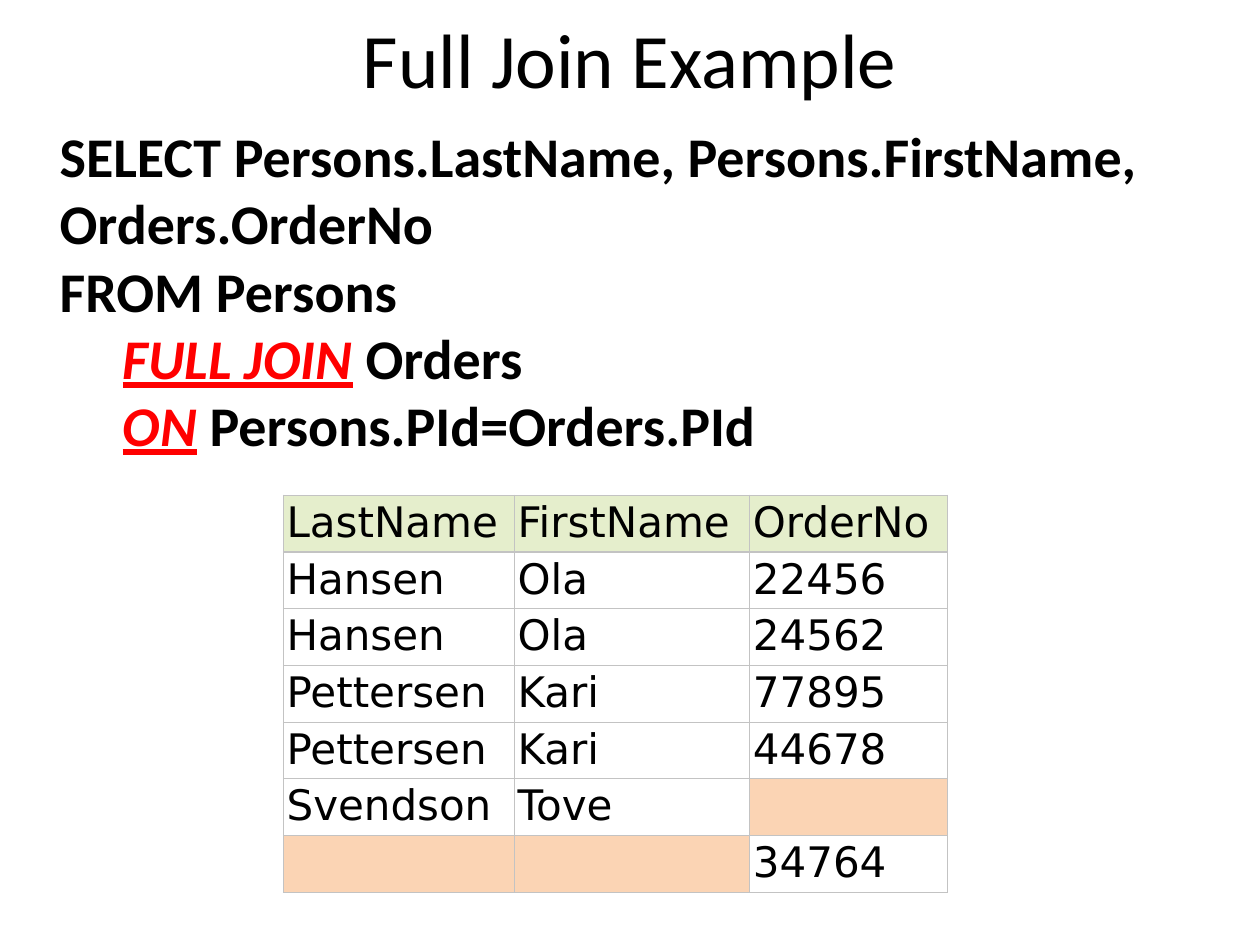
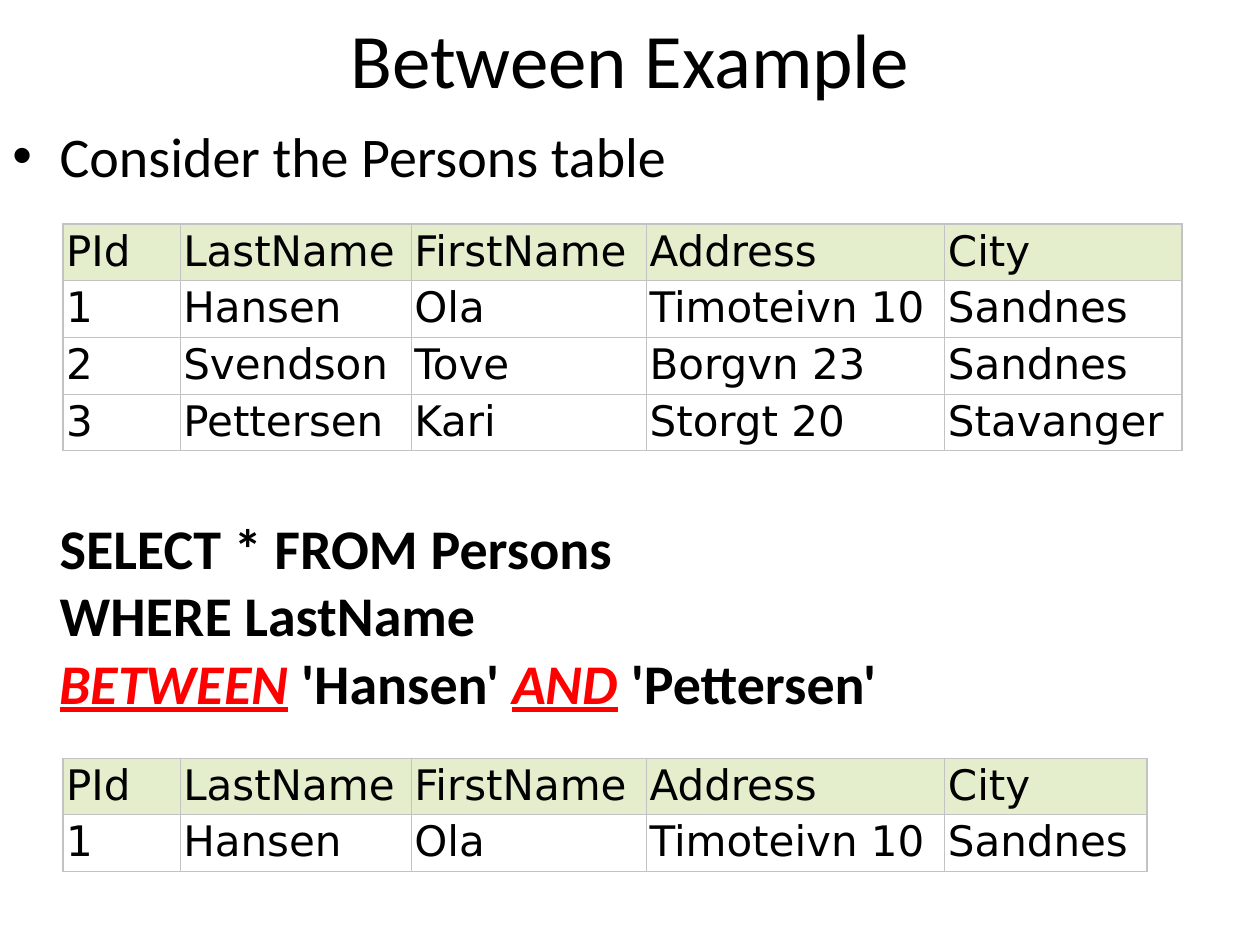
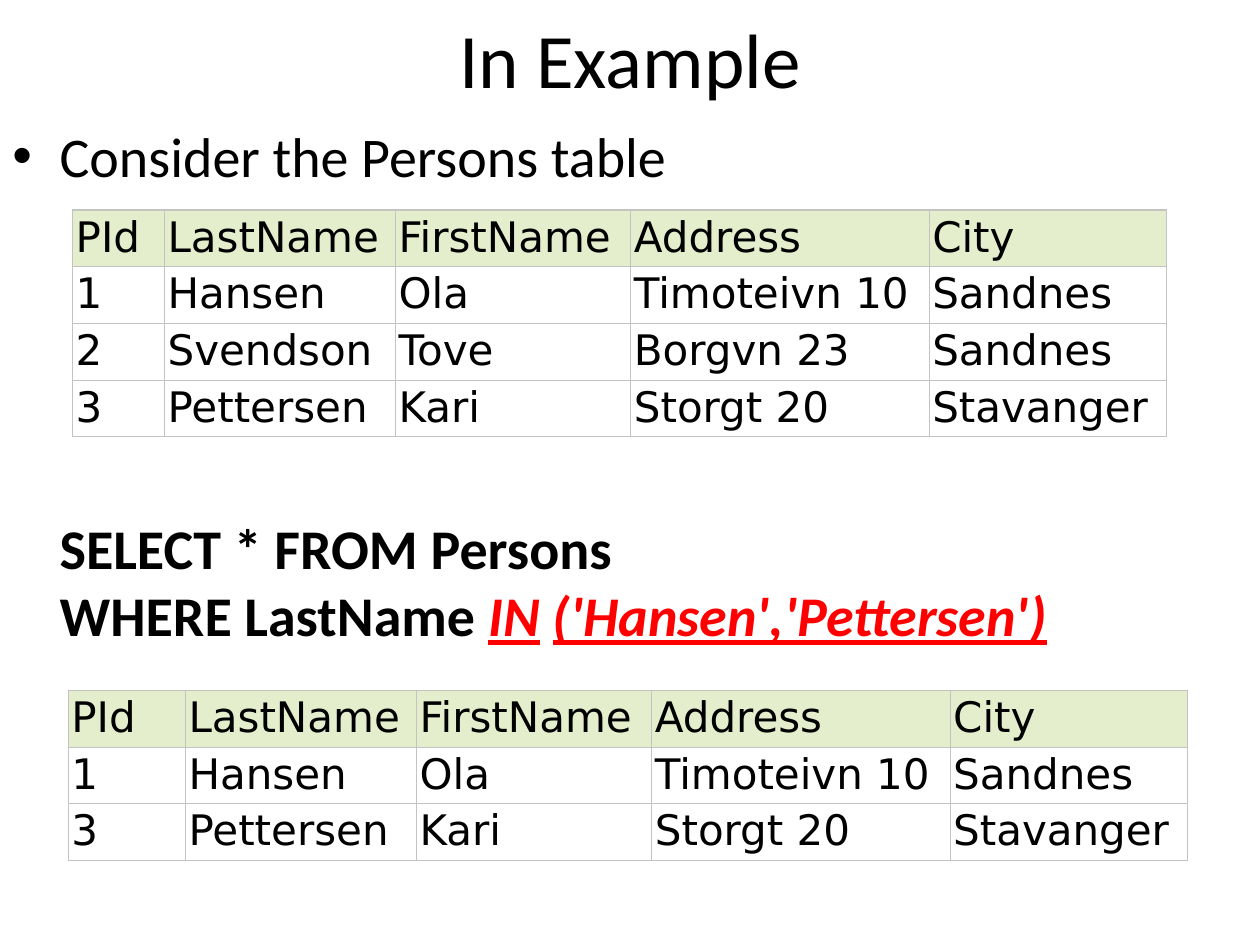
from lxml.etree import SubElement as Sub
from pptx import Presentation
from pptx.dml.color import RGBColor as RGB
from pptx.enum.text import MSO_ANCHOR as Anchor, PP_ALIGN as Align
from pptx.oxml.ns import qn
from pptx.util import Pt

COLORS = {
    "text": "000000", "keyword": "FF0000", "border": "C3C3C3",
    "header": "E5EECC", "row": "FFFFFF", "null": "FBD4B4",
}
TITLE = {"name": "Calibri", "size": Pt(44)}
BODY = {"name": "Calibri", "size": Pt(32)}
CODE = BODY | {"bold": True}
KEYWORD = CODE | {"italic": True, "underline": True}
CELL = {"name": "DejaVu Sans", "size": Pt(24), "bold": False}

# Regions as left, top, width, height
TITLE_BOX = (0, 0, 720, 66)
BODY_BOX = (0, 66, 720, 474)
INDENT = 27
CODE_GAP = 185.6
ROW_HEIGHT = 31.6
CELL_MARGIN = 1.8
WIDTHS = {"PId": 67, "LastName": 132, "FirstName": 134.5,
          "Address": 170.5, "City": 135.5, "OrderNo": 113}

PERSONS = [
    ("PId", "LastName", "FirstName", "Address", "City"),
    ("1", "Hansen", "Ola", "Timoteivn 10", "Sandnes"),
    ("2", "Svendson", "Tove", "Borgvn 23", "Sandnes"),
    ("3", "Pettersen", "Kari", "Storgt 20", "Stavanger"),
]
JOINED = [
    ("LastName", "FirstName", "OrderNo"),
    ("Hansen", "Ola", "22456"),
    ("Hansen", "Ola", "24562"),
    ("Pettersen", "Kari", "77895"),
    ("Pettersen", "Kari", "44678"),
    ("Svendson", "Tove", ""),
    ("", "", "34764"),
]

# Bars enclose the highlighted keywords
JOIN_CODE = [
    "SELECT Persons.LastName, Persons.FirstName, Orders.OrderNo",
    "FROM Persons",
    "\t|FULL JOIN| Orders",
    "\t|ON| Persons.PId=Orders.PId",
]
BETWEEN_CODE = [
    "SELECT * FROM Persons",
    "WHERE LastName",
    "|BETWEEN| 'Hansen' |AND| 'Pettersen'",
]
IN_CODE = [
    "SELECT * FROM Persons",
    "WHERE LastName |IN| |('Hansen','Pettersen')|",
]


def add_run(p, text, fmt, color="text"):
    r = p.add_run()
    r.text = text
    for name, value in fmt.items():
        setattr(r.font, name, value)
    r.font.color.rgb = RGB.from_string(COLORS[color])


def add_box(s, box):
    tf = s.shapes.add_textbox(*map(Pt, box)).text_frame
    tf.word_wrap = True
    return tf


def add_title(s, box, text):
    tf = add_box(s, box)
    tf.vertical_anchor = Anchor.MIDDLE
    p = tf.paragraphs[0]
    p.alignment = Align.CENTER
    add_run(p, text, TITLE)


def set_indent(p, first):
    pPr = p._p.get_or_add_pPr()
    pPr.set("marL", str(Pt(INDENT)))
    pPr.set("indent", str(Pt(first)))
    return pPr


def add_code(p, lines):
    set_indent(p, 0)
    for i, line in enumerate(lines):
        if i:
            p.add_line_break()
        for j, part in enumerate(line.split("|")):
            if part and j % 2:
                add_run(p, part, KEYWORD, "keyword")
            elif part:
                add_run(p, part, CODE)


def add_body(s, box, code, intro=None):
    tf = add_box(s, box)
    p = tf.paragraphs[0]
    if intro:
        pPr = set_indent(p, -INDENT)
        Sub(pPr, qn("a:buFont"), typeface="Arial")
        Sub(pPr, qn("a:buChar"), char="•")
        add_run(p, intro, BODY)
        p = tf.add_paragraph()
        p.space_before = Pt(CODE_GAP)
    add_code(p, code)


def style_cell(cell, fill):
    for side in ("left", "right", "top", "bottom"):
        setattr(cell, f"margin_{side}", Pt(CELL_MARGIN))
    tcPr = cell._tc.get_or_add_tcPr()
    for tag in ("lnL", "lnR", "lnT", "lnB"):
        ln = Sub(tcPr, qn(f"a:{tag}"), w=str(Pt(0.75)))
        Sub(Sub(ln, qn("a:solidFill")), qn("a:srgbClr"), val=COLORS["border"])
    cell.fill.solid()
    cell.fill.fore_color.rgb = RGB.from_string(COLORS[fill])


def add_grid(s, left, top, rows, widths=WIDTHS):
    cols = [widths[name] for name in rows[0]]
    size = (sum(cols), ROW_HEIGHT * len(rows))
    table = s.shapes.add_table(len(rows), len(cols),
                               *map(Pt, (left, top, *size))).table
    table.first_row = table.horz_banding = False
    for col, width in zip(table.columns, cols):
        col.width = Pt(width)
    for i, row in enumerate(rows):
        table.rows[i].height = Pt(ROW_HEIGHT)
        for j, text in enumerate(row):
            cell = table.cell(i, j)
            style_cell(cell, "header" if i == 0 else "row" if text else "null")
            if text:
                add_run(cell.text_frame.paragraphs[0], text, CELL)


def add_example(prs, title, code, intro=None):
    s = prs.slides.add_slide(prs.slide_layouts[6])
    add_title(s, TITLE_BOX, title)
    add_body(s, BODY_BOX, code, intro)
    return s


def main():
    prs = Presentation()
    prs.slide_width, prs.slide_height = Pt(720), Pt(540)
    intro = "Consider the Persons table"

    # Full join
    s = add_example(prs, "Full Join Example", JOIN_CODE)
    add_grid(s, 162, 283, JOINED)

    # Between: the result has a narrower city column
    s = add_example(prs, "Between Example", BETWEEN_CODE, intro)
    add_grid(s, 36, 128, PERSONS)
    add_grid(s, 36, 433.2, PERSONS[:2], WIDTHS | {"City": 115.5})

    # In: the source table has a narrower id column
    s = add_example(prs, "In Example", IN_CODE, intro)
    add_grid(s, 41.5, 120, PERSONS, WIDTHS | {"PId": 52.5})
    add_grid(s, 39, 394.5, [PERSONS[i] for i in (0, 1, 3)])

    prs.save("out.pptx")


if __name__ == "__main__":
    main()
